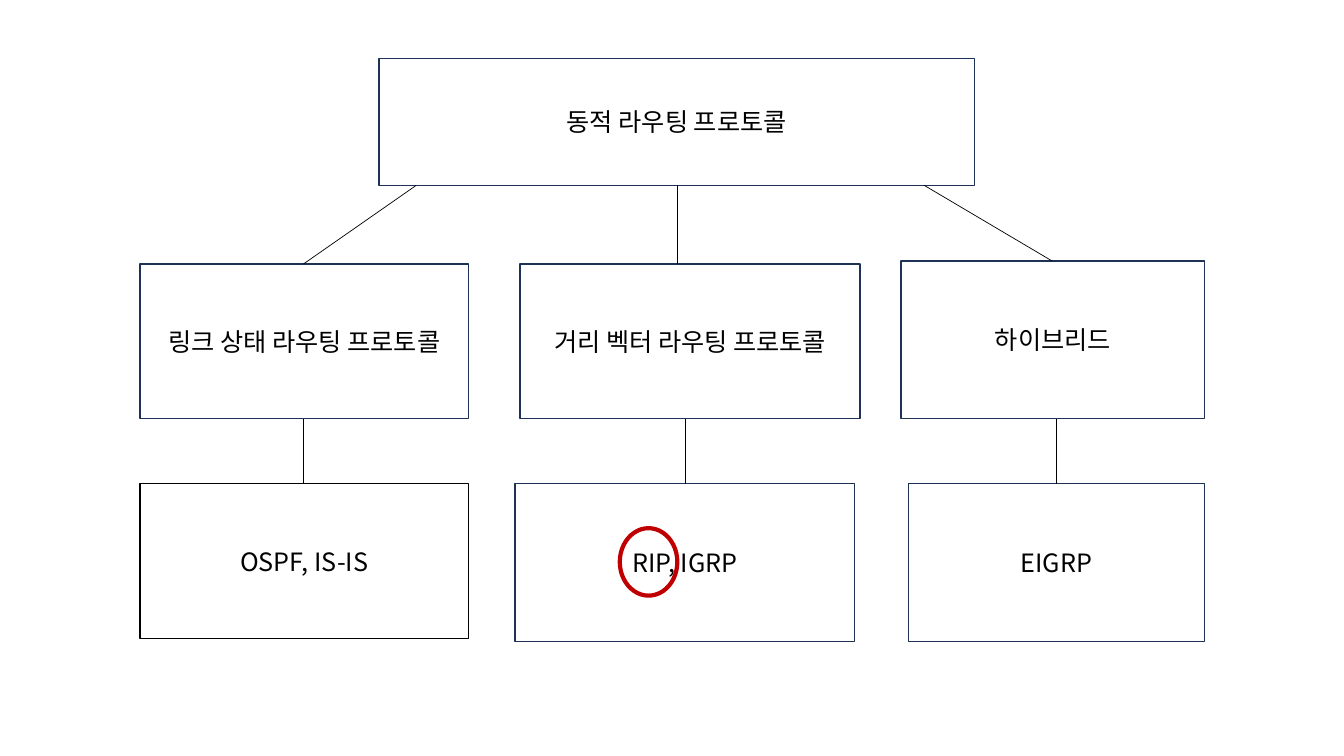
from dataclasses import dataclass

from lxml.etree import SubElement
from pptx import Presentation
from pptx.dml.color import RGBColor
from pptx.enum.shapes import MSO_CONNECTOR, MSO_SHAPE
from pptx.enum.text import MSO_ANCHOR, PP_ALIGN
from pptx.oxml.ns import qn
from pptx.slide import Slide
from pptx.util import Cm, Pt

FONT = "Noto Sans CJK KR"
NAVY, BLACK, WHITE, RED = "1E3256", "000000", "FFFFFF", "C00000"

# Heights in cm where the tree's levels meet
ROOT_END, KIND_TOP, KIND_END, LEAF_TOP = 4.67, 6.65, 10.57, 12.19


@dataclass
class Box:
    text: str
    left: float
    top: float
    width: float
    height: float
    edge: str = NAVY


@dataclass
class Link:
    x1: float
    y1: float
    x2: float
    y2: float


BOXES = [
    Box("동적 라우팅 프로토콜", 9.55, 1.47, 15.01, 3.2),
    # Kinds of protocol
    Box("링크 상태 라우팅 프로토콜", 3.53, KIND_TOP, 8.28, 3.9),
    Box("거리 벡터 라우팅 프로토콜", 13.11, KIND_TOP, 8.56, 3.9),
    Box("하이브리드", 22.71, 6.58, 7.65, 3.97),
    # Members of each kind
    Box("OSPF, IS-IS", 3.53, LEAF_TOP, 8.28, 3.9, BLACK),
    Box("RIP, IGRP", 12.98, LEAF_TOP, 8.56, 3.97),
    Box("EIGRP", 22.89, LEAF_TOP, 7.47, 3.97),
]

LINKS = [
    Link(10.49, ROOT_END, 7.65, KIND_TOP),
    Link(17.07, ROOT_END, 17.07, KIND_TOP),
    Link(23.29, ROOT_END, 26.52, 6.58),
    *(Link(x, KIND_END, x, LEAF_TOP) for x in (7.65, 17.27, 26.62)),
]


def color(code: str) -> RGBColor:
    return RGBColor.from_string(code)


def draw_box(slide: Slide, box: Box) -> None:
    shape = slide.shapes.add_shape(
        MSO_SHAPE.RECTANGLE, Cm(box.left), Cm(box.top), Cm(box.width), Cm(box.height))
    shape.shadow.inherit = False
    shape.fill.solid()
    shape.fill.fore_color.rgb = color(WHITE)
    shape.line.color.rgb = color(box.edge)
    shape.line.width = Pt(1)
    frame = shape.text_frame
    frame.word_wrap = True
    frame.vertical_anchor = MSO_ANCHOR.MIDDLE
    frame.text = box.text
    line = frame.paragraphs[0]
    line.alignment = PP_ALIGN.CENTER
    font = line.runs[0].font
    font.size = Pt(18)
    font.color.rgb = color(BLACK)
    font.name = FONT
    # Hangul takes the East Asian typeface
    SubElement(line.runs[0]._r.get_or_add_rPr(), qn("a:ea")).set("typeface", FONT)


def draw_link(slide: Slide, link: Link) -> None:
    line = slide.shapes.add_connector(
        MSO_CONNECTOR.STRAIGHT, Cm(link.x1), Cm(link.y1), Cm(link.x2), Cm(link.y2))
    line.line.color.rgb = color(BLACK)
    line.line.width = Pt(0.5)
    SubElement(line._element.spPr, qn("a:effectLst"))


def draw_ring(slide: Slide) -> None:
    ring = slide.shapes.add_shape(
        MSO_SHAPE.OVAL, Cm(15.62), Cm(13.31), Cm(1.45), Cm(1.7))
    ring.shadow.inherit = False
    ring.fill.background()
    ring.line.color.rgb = color(RED)
    ring.line.width = Pt(3)


def main() -> None:
    deck = Presentation()
    deck.slide_width, deck.slide_height = Cm(33.87), Cm(19.05)
    slide = deck.slides.add_slide(deck.slide_layouts[6])
    for box in BOXES:
        draw_box(slide, box)
    for link in LINKS:
        draw_link(slide, link)
    # Mark RIP
    draw_ring(slide)
    deck.save("out.pptx")


if __name__ == "__main__":
    main()
